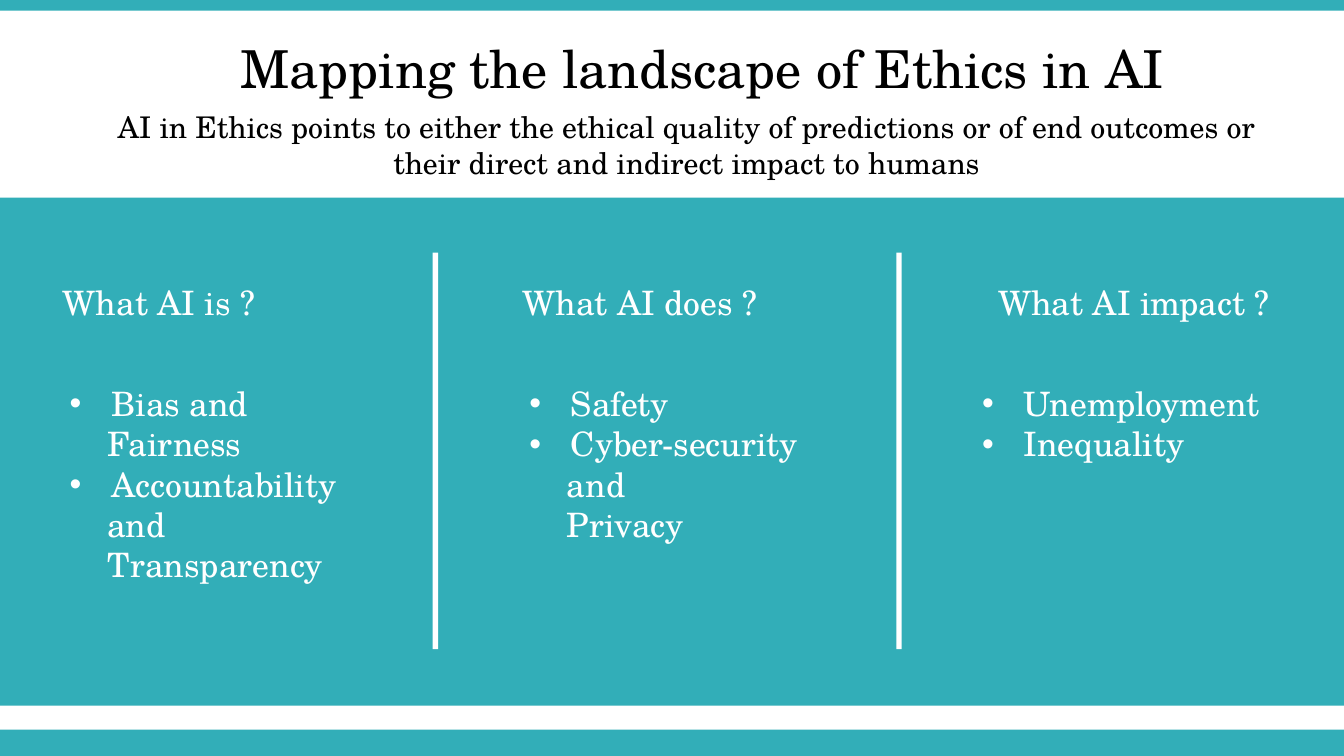
from lxml import etree
from pptx import Presentation
from pptx.dml.color import RGBColor
from pptx.enum.shapes import MSO_SHAPE
from pptx.enum.text import MSO_ANCHOR, MSO_AUTO_SIZE, PP_ALIGN
from pptx.oxml.ns import qn
from pptx.util import Inches, Pt

RECTANGLE = MSO_SHAPE.RECTANGLE
TOP = MSO_ANCHOR.TOP
NO_AUTOFIT = MSO_AUTO_SIZE.NONE
LEFT, CENTER = PP_ALIGN.LEFT, PP_ALIGN.CENTER
FONT = "TeX Gyre Schola"
COLORS = {"teal": "32AEB8", "white": "FFFFFF", "black": "000000"}


def fill_text(box, lines, size, color, align=LEFT):
    """Write (text, indent, bulleted) lines; the indent is in inches."""
    frame = box.text_frame
    frame.word_wrap = True
    frame.auto_size = NO_AUTOFIT
    frame.vertical_anchor = TOP
    for index, (text, indent, bulleted) in enumerate(lines):
        para = frame.paragraphs[0] if index == 0 else frame.add_paragraph()
        para.text = text
        para.alignment = align
        para.font.name = FONT
        para.font.size = Pt(size)
        para.font.color.rgb = RGBColor.from_string(COLORS[color])
        if indent:
            properties = para._p.get_or_add_pPr()
            properties.set("marL", str(Inches(indent)))
            properties.set("indent", str(-Inches(indent) if bulleted else 0))
            if bulleted:
                for bullet in (
                    etree.Element(qn("a:buFont"), typeface="Arial"),
                    etree.Element(qn("a:buChar"), char="•"),
                ):
                    properties.insert_element_before(
                        bullet, "a:tabLst", "a:defRPr")


deck = Presentation()
deck.slide_width = Inches(10)
deck.slide_height = deck.slide_width * 9 // 16
page = deck.slides.add_slide(deck.slide_layouts[5])

# Bands and column dividers
for left, top, width, height, color in [
    (0, 5.43, 10, 0.2, "teal"),
    (0, 0, 10, 0.08, "teal"),
    (0, 1.47, 10, 3.78, "teal"),
    (3.22, 1.88, 0.04, 2.95, "white"),
    (6.67, 1.88, 0.04, 2.95, "white"),
]:
    band = page.shapes.add_shape(
        RECTANGLE, Inches(left), Inches(top), Inches(width), Inches(height))
    band.shadow.inherit = False
    band.fill.solid()
    band.fill.fore_color.rgb = RGBColor.from_string(COLORS[color])
    band.line.fill.background()

# Title and subtitle
title = page.shapes.title
title.left, title.top = Inches(1.3), Inches(0.22)
title.width, title.height = Inches(7.85), Inches(0.57)
fill_text(title, [("Mapping the landscape of Ethics in AI", 0, False)],
          28, "black", CENTER)

subtitle = page.shapes.add_textbox(
    Inches(0.58), Inches(0.76), Inches(9.06), Inches(0.64))
fill_text(subtitle, [(
    "AI in Ethics points to either the ethical quality of predictions or of "
    "end outcomes or their direct and indirect impact to humans", 0, False)],
    16, "black", CENTER)

# Columns: heading, heading left, list left, list height, items split in lines
columns = [
    ("What AI is ?", 0.37, 0.42, 1.61,
     [["Bias and", "Fairness"], ["Accountability", "and", "Transparency"]]),
    ("What AI does ?", 3.79, 3.84, 1.31,
     [["Safety"], ["Cyber-security", "and", "Privacy"]]),
    ("What AI impact ?", 7.33, 7.21, 0.71,
     [["Unemployment"], ["Inequality"]]),
]
for heading, heading_left, list_left, list_height, items in columns:
    heading_box = page.shapes.add_textbox(
        Inches(heading_left), Inches(2.05), Inches(2.43), Inches(0.4))
    fill_text(heading_box, [(heading, 0, False)], 18, "white")

    lines = []
    for first, *others in items:
        lines.append((first, 0.31, True))
        lines += [(text, 0.28, False) for text in others]
    list_box = page.shapes.add_textbox(
        Inches(list_left), Inches(2.8), Inches(2.37), Inches(list_height))
    fill_text(list_box, lines, 18, "white")

deck.save("out.pptx")
